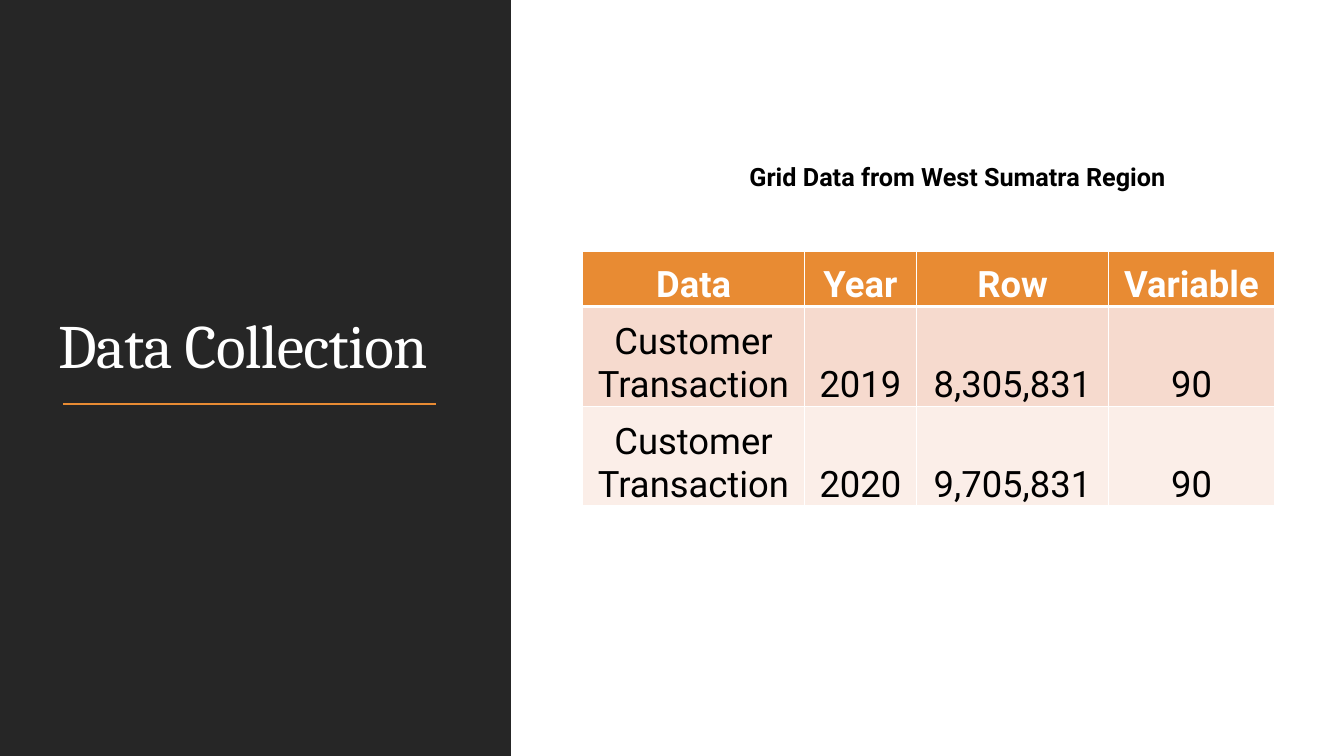
from dataclasses import dataclass

from lxml.etree import SubElement
from pptx import Presentation
from pptx.dml.color import RGBColor
from pptx.enum.shapes import MSO_CONNECTOR, MSO_SHAPE
from pptx.enum.text import MSO_ANCHOR, PP_ALIGN
from pptx.oxml import parse_xml
from pptx.oxml.ns import nsdecls, qn
from pptx.util import Pt


@dataclass(frozen=True)
class Theme:
    dark: str = "262626"
    white: str = "FFFFFF"
    black: str = "000000"
    accent: str = "E88B33"
    bands: tuple = ("F6DACE", "FBEEE8")
    serif: str = "Cambria"
    sans: str = "Roboto"
    title: int = 44
    label: int = 18
    body: int = 26


THEME = Theme()
WIDTH, HEIGHT = 960, 540
COLS = (158.4, 79.9, 137.5, 118.1)
ROWS = (39.6, 71.3, 71.3)
DATA = (
    ("Data", "Year", "Row", "Variable"),
    ("Customer Transaction", "2019", "8,305,831", "90"),
    ("Customer Transaction", "2020", "9,705,831", "90"),
)


def apply(item, values):
    for name, value in values.items():
        setattr(item, name, value)


def paint(fill, color):
    fill.solid()
    fill.fore_color.rgb = RGBColor.from_string(color)


def write(frame, text, color, align, **font):
    """Put one styled run in a text frame and return it."""
    para = frame.paragraphs[0]
    para.alignment = align
    run = para.add_run()
    run.text = text
    apply(run.font, font)
    run.font.color.rgb = RGBColor.from_string(color)
    return run


def add_panel(slide, box, color):
    panel = slide.shapes.add_shape(MSO_SHAPE.RECTANGLE, *map(Pt, box))
    panel.shadow.inherit = False
    paint(panel.fill, color)
    panel.line.fill.background()


def add_text(slide, box, text, color, align, anchor, **font):
    frame = slide.shapes.add_textbox(*map(Pt, box)).text_frame
    apply(frame, {"word_wrap": True, "vertical_anchor": anchor})
    return write(frame, text, color, align, **font)


def add_rule(slide, left, right, top, color, width):
    ends = map(Pt, (left, top, right, top))
    rule = slide.shapes.add_connector(MSO_CONNECTOR.STRAIGHT, *ends)
    rule.line.width = Pt(width)
    rule.line.color.rgb = RGBColor.from_string(color)
    SubElement(rule._element.spPr, qn("a:effectLst"))


def add_edges(cell, color, widths):
    """Draw the left, right, top and bottom borders of a cell."""
    props = cell._tc.get_or_add_tcPr()
    for spot, (side, width) in enumerate(zip("LRTB", widths)):
        props.insert(spot, parse_xml(
            f'<a:ln{side} {nsdecls("a")} w="{Pt(width)}"><a:solidFill>'
            f'<a:srgbClr val="{color}"/></a:solidFill></a:ln{side}>'))


def fill_cell(cell, text, row):
    head = row == 0
    apply(cell, {
        "margin_left": Pt(1.5), "margin_right": Pt(1.5),
        "margin_top": Pt(1.5), "margin_bottom": 0,
        "vertical_anchor": MSO_ANCHOR.BOTTOM,
    })
    paint(cell.fill, THEME.accent if head else THEME.bands[row - 1])
    write(cell.text_frame, text, THEME.white if head else THEME.black,
          PP_ALIGN.CENTER, name=THEME.sans, size=Pt(THEME.body), bold=head)
    # The header is set off by a thicker line
    add_edges(cell, THEME.white,
              (1, 1, 3 if row == 1 else 1, 3 if head else 1))


def add_grid(slide, left, top):
    box = map(Pt, (left, top, sum(COLS), sum(ROWS)))
    table = slide.shapes.add_table(len(ROWS), len(COLS), *box).table
    for col, width in zip(table.columns, COLS):
        col.width = Pt(width)
    for row, height in zip(table.rows, ROWS):
        row.height = Pt(height)
    for row, texts in enumerate(DATA):
        for col, text in enumerate(texts):
            fill_cell(table.cell(row, col), text, row)


def main():
    deck = Presentation()
    apply(deck, {"slide_width": Pt(WIDTH), "slide_height": Pt(HEIGHT)})
    slide = deck.slides.add_slide(deck.slide_layouts[6])
    paint(slide.background.fill, THEME.white)

    # Title panel
    add_panel(slide, (0, 0, 365, HEIGHT), THEME.dark)
    title = add_text(slide, (34.5, 50.4, 288, 225.4), "Data Collection",
                     THEME.white, PP_ALIGN.LEFT, MSO_ANCHOR.BOTTOM,
                     name=THEME.serif, size=Pt(THEME.title))
    title._r.get_or_add_rPr().set("spc", "-50")
    title._r.getparent().line_spacing = 0.9
    add_rule(slide, 45.2, 311.6, 288.7, THEME.accent, 1.5)

    # Table and its heading
    add_grid(slide, 416.3, 179.3)
    add_text(slide, (516.2, 111.6, 335.5, 29), "Grid Data from West Sumatra Region",
             THEME.black, PP_ALIGN.CENTER, MSO_ANCHOR.TOP,
             name=THEME.sans, size=Pt(THEME.label), bold=True)

    deck.save("out.pptx")


if __name__ == "__main__":
    main()
